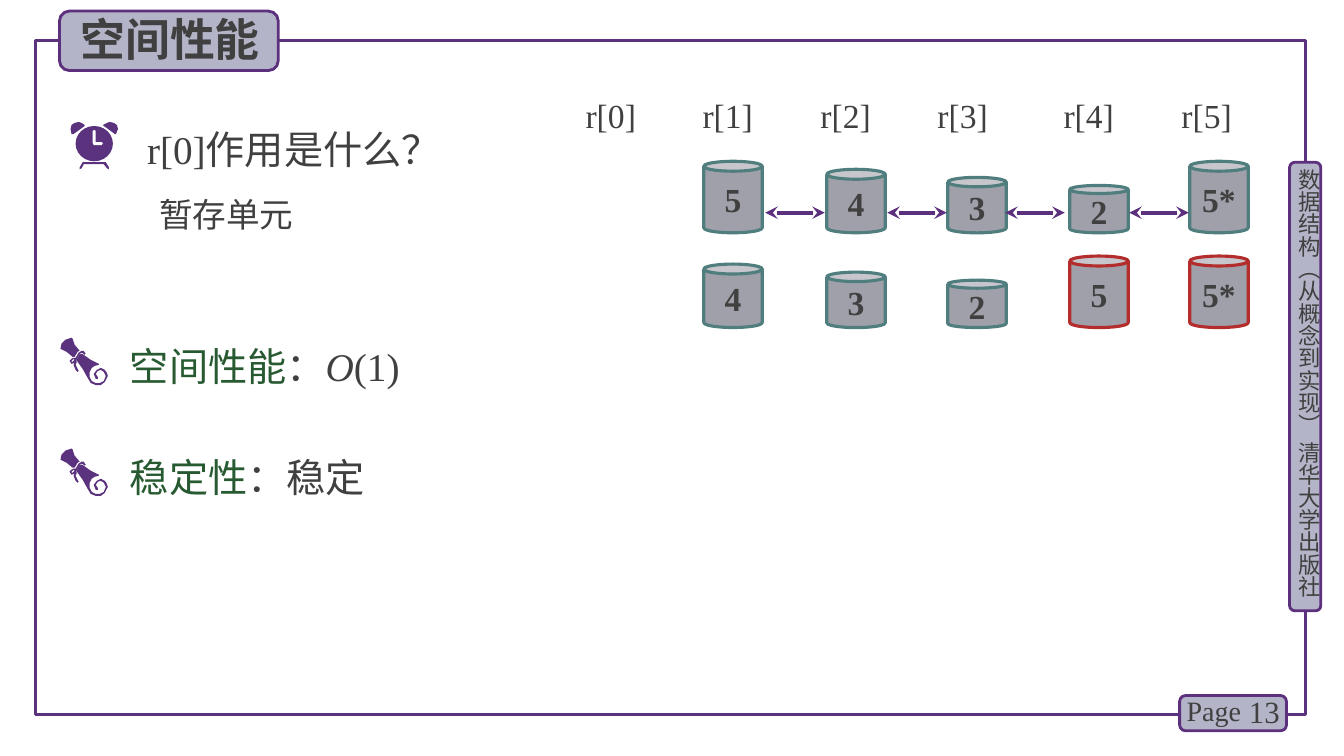
from lxml.etree import SubElement
from pptx import Presentation
from pptx.dml.color import RGBColor
from pptx.enum.shapes import MSO_CONNECTOR as Link, MSO_SHAPE as Kind
from pptx.enum.text import MSO_ANCHOR as Anchor, PP_ALIGN as Align
from pptx.oxml.ns import qn
from pptx.util import Inches, Pt

PURPLE = RGBColor(0x5A, 0x32, 0x7D)
EDGE = RGBColor(0x5C, 0x30, 0x7D)
LILAC = RGBColor(0xB4, 0xB4, 0xC8)
INK = RGBColor(0x40, 0x40, 0x40)
GREEN = RGBColor(0x28, 0x5A, 0x32)
GREY = RGBColor(0xA0, 0xA0, 0xAA)
TEAL = RGBColor(0x50, 0x7D, 0x7D)
RED = RGBColor(0xB4, 0x2D, 0x2D)
WHITE = RGBColor(0xFF, 0xFF, 0xFF)

ROMAN = "Times New Roman"
HAN = "Noto Sans CJK SC"
BODY = {"size": Pt(28), "name": ROMAN}
NOTE = {"size": Pt(24), "name": ROMAN}
BOLD = {"size": Pt(24), "name": ROMAN, "bold": True}
TITLE = {"size": Pt(32), "name": HAN, "bold": True}
SIDE = {"size": Pt(16), "name": HAN}
PAGE = {"size": Pt(20), "name": ROMAN}
COUNT = {"size": Pt(22), "name": ROMAN}

BADGES = [(12.79, 1.61, 0.31, 4.45), (11.7, 6.9, 1.06, 0.35), (0.59, 0.11, 2.17, 0.59)]
LINES = [
    ((1.19, 3.21, 4.15, 0.71), [("空间性能", GREEN, BODY), ("：", INK, BODY),
                               ("O", INK, {**BODY, "italic": True}), ("(1)", INK, BODY)]),
    ((1.36, 1.05, 4.15, 0.71), [("r[0]作用是什么？", INK, BODY)]),
    ((1.48, 1.76, 3.14, 0.63), [("暂存单元", INK, NOTE)]),
    ((1.19, 4.31, 4.15, 0.71), [("稳定性", GREEN, BODY), ("：稳定", INK, BODY)]),
]
HEADS = ["r[0]", "r[1]", "r[2]", "r[3]", "r[4]", "r[5]"]
TABS = [1.16, 2.33, 3.49, 4.74, 5.91]
COLS = [6.98, 8.2, 9.4, 10.61, 11.8]
ROWS = [
    (2.31, [("5", TEAL), ("4", TEAL), ("3", TEAL), ("2", TEAL), ("5*", TEAL)]),
    (3.25, [("4", TEAL), ("3", TEAL), ("2", TEAL), ("5", RED), ("5*", RED)]),
]
SWAPS = [7.59, 8.8, 9.97, 11.2]

SCROLL = [
    [[(74, 354), (77, 349), (79, 348), (74, 342), (72, 336), (71, 335), (65, 337),
      (61, 341), (60, 346), (66, 349), (72, 354)]],
    [[(104, 367), (100, 365), (96, 367), (93, 371), (95, 376), (97, 376), (97, 374),
      (95, 371), (97, 368), (100, 367), (103, 369), (105, 373), (103, 378), (99, 380),
      (95, 380), (91, 378), (89, 374), (89, 369), (91, 365), (94, 363), (98, 362),
      (98, 361), (90, 357), (83, 352), (81, 351), (79, 351), (77, 355), (76, 357),
      (77, 359), (82, 366), (87, 375), (90, 380), (95, 382), (100, 382), (104, 379),
      (107, 373), (106, 370)]],
    [[(77, 369), (75, 367), (73, 362), (74, 360), (71, 361), (69, 358), (71, 356),
      (73, 355), (75, 355), (78, 350), (81, 348), (83, 348), (85, 351), (84, 352),
      (83, 351), (81, 350), (79, 351), (77, 355), (76, 357), (76, 360), (75, 362),
      (77, 366), (78, 368)],
     [(73, 356), (71, 358), (71, 359), (72, 359), (74, 357)]],
]
CLOCK = [
    [[(108, 166), (105, 161), (82, 161), (79, 166), (79, 168), (81, 167), (83, 163),
      (103, 163), (106, 167), (108, 168)]],
    [[(78, 121), (74, 122), (71, 124), (70, 128), (71, 133), (73, 133), (84, 125),
      (84, 124), (81, 122)]],
    [[(109, 121), (106, 122), (102, 124), (103, 125), (114, 133), (115, 133),
      (117, 128), (116, 124), (113, 122)]],
]
HAND = [[(92, 130), (93, 129), (94, 129), (95, 130), (95, 141), (101, 141), (102, 142),
         (101, 144), (93, 144), (92, 142)]]

deck = Presentation()
deck.slide_width, deck.slide_height = Inches(13.33), Inches(7.5)
slide = deck.slides.add_slide(deck.slide_layouts[6])
parts = slide.shapes


def paint(shape, fill=None, line=None, width=2):
    shape.shadow.inherit = False
    if fill is None:
        shape.fill.background()
    else:
        shape.fill.solid()
        shape.fill.fore_color.rgb = fill
    if line is None:
        shape.line.fill.background()
    else:
        shape.line.color.rgb = line
        shape.line.width = Pt(width)
    return shape


def block(kind, spot, *look):
    return paint(parts.add_shape(kind, *map(Inches, spot)), *look)


def write(para, runs):
    for text, color, form in runs:
        run = para.add_run()
        run.text = text
        for key, value in form.items():
            setattr(run.font, key, value)
        run.font.color.rgb = color
        SubElement(run.font._element, qn("a:ea")).set("typeface", HAN)


def label(spot, runs, space=None):
    frame = parts.add_textbox(*map(Inches, spot)).text_frame
    frame.word_wrap = True
    para = frame.paragraphs[0]
    if space:
        para.line_spacing = space
    write(para, runs)
    return frame


def draw(loops, fill, drop=0):
    pen = None
    for loop in loops:
        if pen is None:
            pen = parts.build_freeform(*loop[0], scale=9144)
        else:
            pen.move_to(*loop[0])
        pen.add_line_segments(loop[1:], close=True)
    paint(pen.convert_to_shape(0, Inches(drop)), fill)


block(Kind.RECTANGLE, (0.35, 0.4, 12.6, 6.69), None, PURPLE, 2.25)
for spot in BADGES:
    block(Kind.ROUNDED_RECTANGLE, spot, LILAC, EDGE)

side = label((12.85, 1.67, 0.27, 4.49), [("数据结构（从概念到实现） 清华大学出版社", INK, SIDE)])
for edge in ("left", "top", "right", "bottom"):
    setattr(side, "margin_" + edge, 0)
side._txBody.bodyPr.set("vert", "eaVert")

count = label((12.2, 6.86, 0.59, 0.4), [("13", INK, COUNT)])
count.vertical_anchor = Anchor.MIDDLE
count.paragraphs[0].alignment = Align.RIGHT
label((11.67, 6.83, 0.78, 0.44), [("Page", INK, PAGE)])
label((0.7, 0.07, 2.1, 0.64), [("空间性能", INK, TITLE)])

for spot, runs in LINES:
    label(spot, runs, 1.3)

heads = label((5.71, 0.77, 6.86, 0.63), [("\t".join(HEADS), INK, NOTE)], 1.3)
stops = SubElement(heads.paragraphs[0]._p.get_or_add_pPr(), qn("a:tabLst"))
for tab in TABS:
    stop = SubElement(stops, qn("a:tab"))
    stop.set("pos", str(Inches(tab)))
    stop.set("algn", "l")

for drop in (0, 1.1):
    for loops in SCROLL:
        draw(loops, PURPLE, drop)
for loops in CLOCK:
    draw(loops, PURPLE)
block(Kind.OVAL, (0.75, 1.25, 0.37, 0.35), PURPLE)
draw(HAND, WHITE)

for base, cans in ROWS:
    for left, (key, edge) in zip(COLS, cans):
        tall = 0.31 + 0.08 * int(key[0])
        can = block(Kind.CAN, (left, base - tall, 0.58, tall), GREY, edge, 2.25)
        can.adjustments[0] = 0.17
        frame = can.text_frame
        frame.word_wrap = False
        frame.vertical_anchor = Anchor.MIDDLE
        frame.paragraphs[0].alignment = Align.CENTER
        write(frame.paragraphs[0], [(key, INK, BOLD)])

for left in SWAPS:
    ends = map(Inches, (left, 2.11, left + 0.59, 2.11))
    swap = parts.add_connector(Link.STRAIGHT, *ends)
    swap.line.color.rgb = EDGE
    swap.line.width = Pt(3)
    for end in ("a:headEnd", "a:tailEnd"):
        SubElement(swap.line._get_or_add_ln(), qn(end)).set("type", "stealth")
    SubElement(swap._element.spPr, qn("a:effectLst"))

deck.save("out.pptx")
